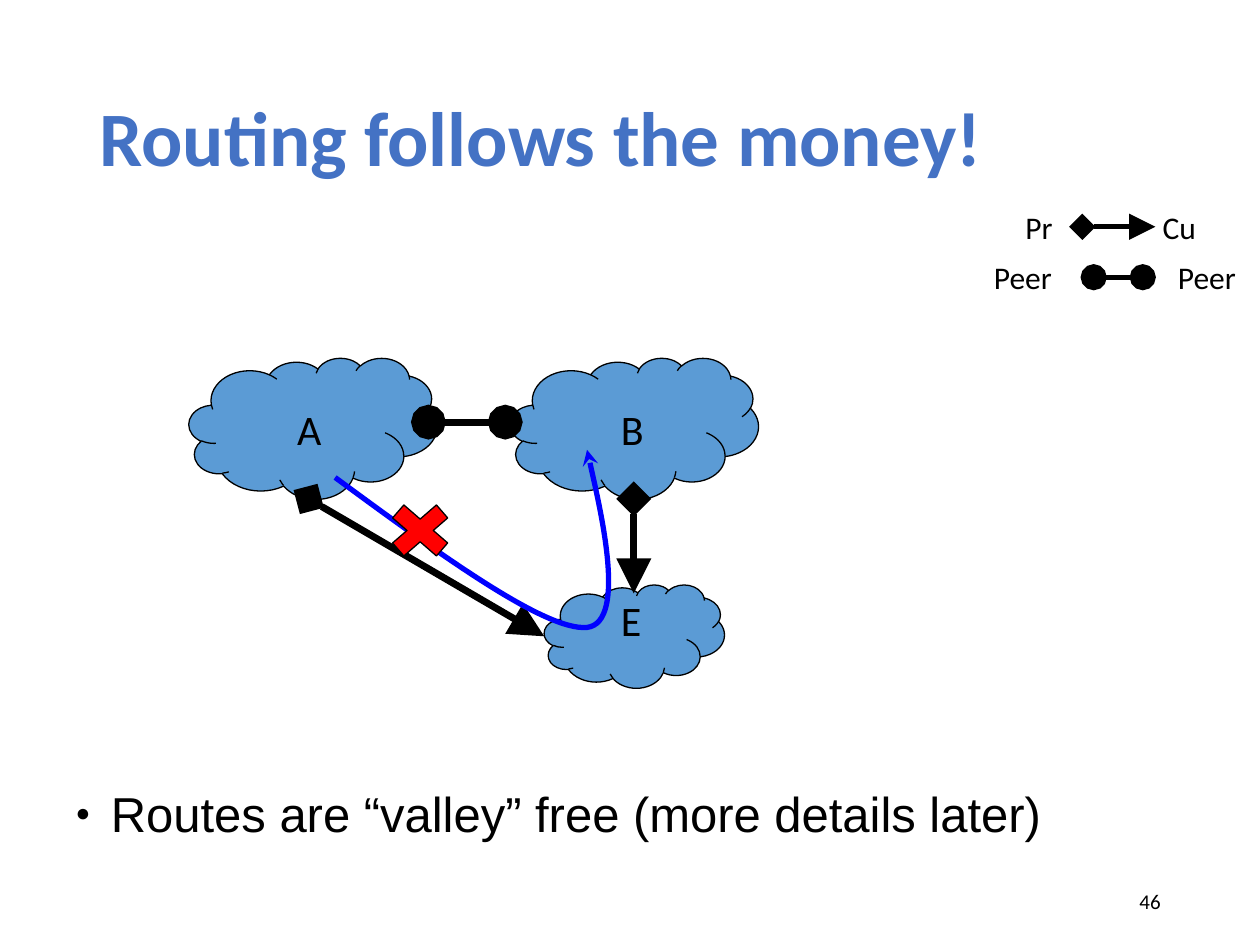
from dataclasses import dataclass

from lxml.etree import SubElement
from pptx import Presentation
from pptx.dml.color import RGBColor
from pptx.enum.shapes import MSO_CONNECTOR as Conn, MSO_SHAPE as Shape
from pptx.enum.text import MSO_ANCHOR as Anchor, MSO_AUTO_SIZE as Auto, PP_ALIGN as Align
from pptx.oxml.ns import qn
from pptx.util import Inches, Pt

COLS, ROWS = 100, 75
BLACK, BLUE, SKY, RED, TITLE = "000000", "0000FF", "5B9BD5", "FF0000", "4472C4"


@dataclass
class Box:
    col: float
    row: float
    cols: float
    rows: float


@dataclass
class Label:
    text: str
    box: Box
    size: float


@dataclass
class Link:
    start: tuple[float, float]
    end: tuple[float, float]
    width: float
    head: str
    tail: str


def rgb(value: str) -> RGBColor:
    return RGBColor.from_string(value)


def grid(*cells: float) -> list[int]:
    return [round(Inches(cell * 10 / COLS)) for cell in cells]


def place(sp, box: Box) -> None:
    sp.left, sp.top, sp.width, sp.height = grid(box.col, box.row, box.cols, box.rows)


def add_run(p, text: str, size: float, color: str = BLACK, font: str = "Calibri", bold: bool = False) -> None:
    r = p.add_run()
    r.text = text
    r.font.size, r.font.name, r.font.bold = Pt(size), font, bold
    r.font.color.rgb = rgb(color)


def add_label(s, label: Label) -> None:
    sp = s.shapes.add_textbox(*grid(label.box.col, label.box.row, label.box.cols, label.box.rows))
    sp.text_frame.word_wrap = False
    add_run(sp.text_frame.paragraphs[0], label.text, label.size)


def add_preset(s, kind: Shape, box: Box, fill: str) -> None:
    sp = s.shapes.add_shape(kind, *grid(box.col, box.row, box.cols, box.rows))
    sp.shadow.inherit = False
    sp.fill.solid()
    sp.fill.fore_color.rgb = rgb(fill)
    set_line(sp, BLACK, 0.75)


def set_line(sp, color: str, width: float, size: str = "lg", **ends: str) -> None:
    sp.line.color.rgb = rgb(color)
    sp.line.width = Pt(width)
    ln = sp._element.spPr.find(qn("a:ln"))
    for end, kind in ends.items():
        SubElement(ln, qn(f"a:{end}End"), type=kind, w=size, len=size)


def add_link(s, link: Link) -> None:
    sp = s.shapes.add_connector(Conn.STRAIGHT, *grid(*link.start, *link.end))
    set_line(sp, BLACK, link.width, head=link.head, tail=link.tail)
    SubElement(sp._element.spPr, qn("a:effectLst"))


def add_curve(s, points: list[tuple[float, float]], color: str, width: float) -> None:
    start, *rest = [tuple(grid(*point)) for point in points]
    builder = s.shapes.build_freeform(*start)
    builder.add_line_segments(rest, close=False)
    sp = builder.convert_to_shape()
    sp.shadow.inherit = False
    sp.fill.background()
    set_line(sp, color, width, size="med", tail="stealth")
    outline = next(sp._element.iter(qn("a:path")))
    steps = outline.findall(qn("a:lnTo"))
    for i in range(0, len(steps), 3):
        bezier = SubElement(outline, qn("a:cubicBezTo"))
        for step in steps[i:i + 3]:
            bezier.append(step[0])
            outline.remove(step)


def fill_title(sp, text: str) -> None:
    place(sp, Box(6.9, 4, 86.2, 14.5))
    tf = sp.text_frame
    tf.vertical_anchor, tf.auto_size = Anchor.MIDDLE, Auto.NONE
    p = tf.paragraphs[0]
    p.alignment, p.line_spacing = Align.LEFT, 0.9
    add_run(p, text, 44, TITLE, bold=True)


def fill_body(sp, text: str) -> None:
    place(sp, Box(5, 61.7, 90, 11.7))
    tf = sp.text_frame
    tf.vertical_anchor, tf.auto_size = Anchor.TOP, Auto.NONE
    p = tf.paragraphs[0]
    p.space_before = Pt(0)
    pPr = p._p.get_or_add_pPr()
    indent = Inches(0.28)
    pPr.set("marL", str(indent))
    pPr.set("indent", str(-indent))
    SubElement(SubElement(pPr, qn("a:buClr")), qn("a:srgbClr"), val=BLACK)
    SubElement(pPr, qn("a:buSzPct"), val="50000")
    SubElement(pPr, qn("a:buFont"), typeface="Arial")
    SubElement(pPr, qn("a:buChar"), char="●")
    add_run(p, text, 28, font="Arial")


def add_number(s, text: str) -> None:
    tf = s.shapes.add_textbox(*grid(70.6, 69.5, 22.5, 4)).text_frame
    tf.word_wrap = True
    tf.vertical_anchor = Anchor.MIDDLE
    tf.paragraphs[0].alignment = Align.RIGHT
    add_run(tf.paragraphs[0], text, 12)


CLOUDS = [Box(43.2, 46.4, 14.3, 8.2), Box(40.5, 28.4, 19.7, 11.2), Box(15, 28.4, 19.7, 11.2)]
LINKS = [
    Link((34, 33.5), (40.1, 33.5), 4, "oval", "oval"),
    Link((24.5, 39.6), (43.2, 50.5), 4, "diamond", "triangle"),
    Link((50.3, 39.6), (50.3, 47.1), 4, "diamond", "triangle"),
    Link((85.9, 18), (91.7, 18), 3, "diamond", "triangle"),
    Link((86.8, 22), (90.7, 22), 3, "oval", "oval"),
]
LABELS = [
    Label("A", Box(22.6, 31.5, 3.9, 3.7), 24),
    Label("B", Box(48.3, 31.5, 3.7, 3.7), 24),
    Label("E", Box(48.3, 46.7, 3.7, 3.7), 24),
    Label("Pr", Box(80.4, 16, 4.7, 4), 18),
    Label("Cu", Box(91.3, 16, 5.4, 4), 18),
    Label("Peer", Box(77.9, 20, 7.5, 4), 18),
    Label("Peer", Box(92.5, 20, 7.5, 4), 18),
]
ROUTE = [(26.6, 37.9), (34.9, 44), (43.3, 50.1), (46.6, 49.8), (49.9, 49.4), (46.6, 35.7), (46.6, 35.7)]


def main() -> None:
    prs = Presentation()
    prs.slide_width, prs.slide_height = grid(COLS, ROWS)
    s = prs.slides.add_slide(prs.slide_layouts[1])
    fill_title(s.shapes.title, "Routing follows the money!")
    fill_body(s.placeholders[1], "Routes are “valley” free (more details later)")
    for cloud in CLOUDS:
        add_preset(s, Shape.CLOUD, cloud, SKY)
    for link in LINKS:
        add_link(s, link)
    for label in LABELS:
        add_label(s, label)
    add_curve(s, ROUTE, BLUE, 3)
    add_preset(s, Shape.MATH_MULTIPLY, Box(30, 39.2, 6.7, 5.8), RED)
    add_number(s, "46")
    prs.save("out.pptx")


if __name__ == "__main__":
    main()
